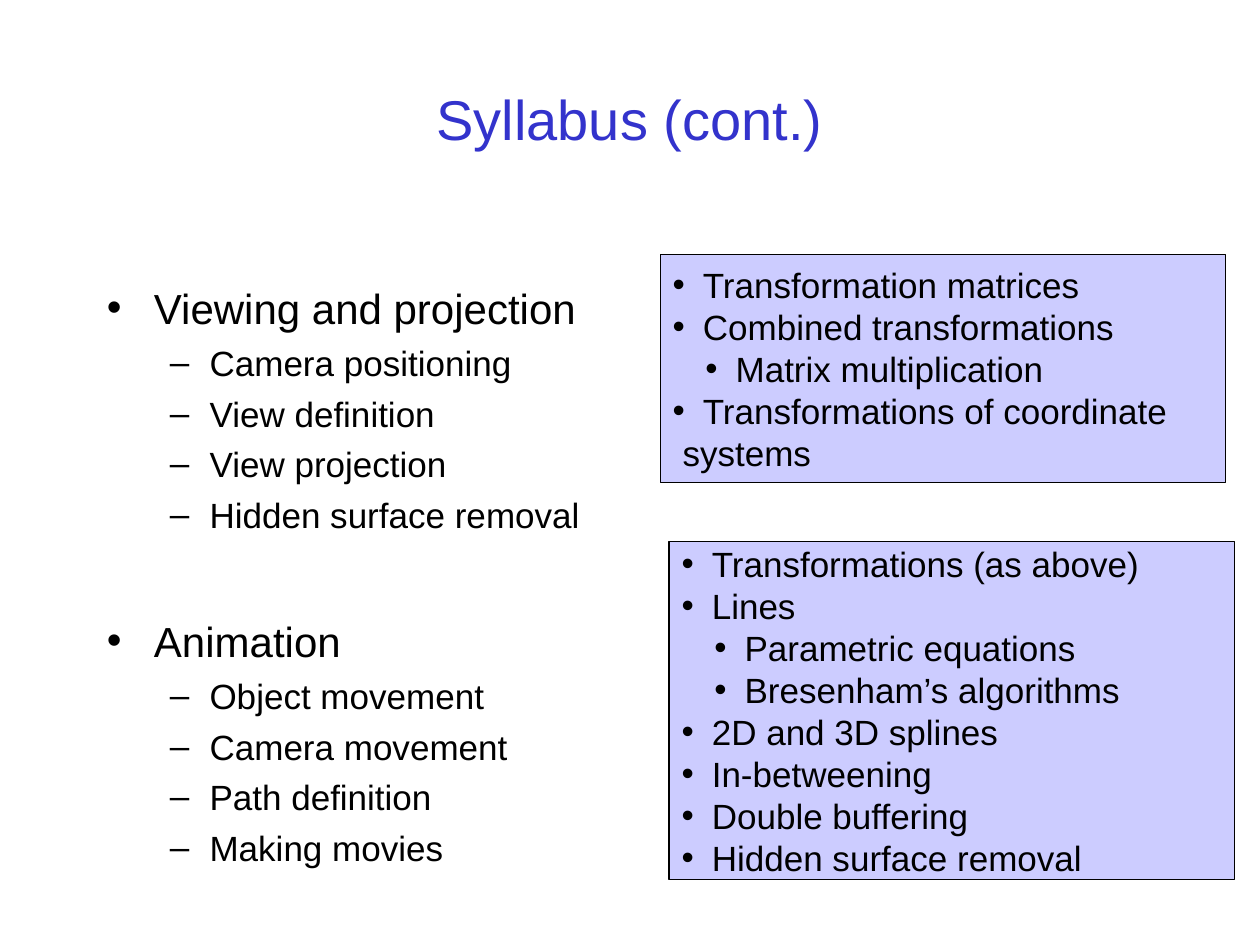
from lxml import etree
from pptx import Presentation
from pptx.dml.color import RGBColor
from pptx.enum.shapes import MSO_SHAPE
from pptx.enum.text import MSO_ANCHOR, MSO_AUTO_SIZE, PP_ALIGN
from pptx.oxml.ns import qn
from pptx.util import Cm, Pt

BLACK = RGBColor(0, 0, 0)
BLUE = RGBColor(0x33, 0x33, 0xCC)
LAVENDER = RGBColor(0xCC, 0xCC, 0xFF)
FONT = "Arial"

TITLE = "Syllabus (cont.)"
TOPICS = [
    ("Viewing and projection", [
        "Camera positioning",
        "View definition",
        "View projection",
        "Hidden surface removal",
    ]),
    ("Animation", [
        "Object movement",
        "Camera movement",
        "Path definition",
        "Making movies",
    ]),
]
MATHS_BOXES = [
    ((13.31, 5.13, 11.4, 4.6), [
        ("item", "Transformation matrices"),
        ("item", "Combined transformations"),
        ("subitem", "Matrix multiplication"),
        ("item", "Transformations of coordinate"),
        ("continued", "systems"),
    ]),
    ((13.49, 10.92, 11.4, 6.81), [
        ("item", "Transformations (as above)"),
        ("item", "Lines"),
        ("subitem", "Parametric equations"),
        ("subitem", "Bresenham’s algorithms"),
        ("item", "2D and 3D splines"),
        ("item", "In-betweening"),
        ("item", "Double buffering"),
        ("item", "Hidden surface removal"),
    ]),
]

# style: level, bullet, left margin (cm), first-line indent (cm), size (pt)
STYLES = {
    "topic": (0, "•", 0.95, -0.95, 24),
    "subtopic": (1, "–", 2.07, -0.8, 20),
    "item": (0, "•", 0.61, -0.61, 20),
    "subitem": (1, "•", 1.27, -0.61, 20),
    "continued": (0, None, 0.2, 0, 20),
}


def place(shape, left, top, width, height):
    shape.left, shape.top = Cm(left), Cm(top)
    shape.width, shape.height = Cm(width), Cm(height)


def set_font(paragraph, size, color):
    font = paragraph.font
    font.name, font.size, font.color.rgb = FONT, Pt(size), color


def write_lines(frame, lines):
    frame.word_wrap = True
    frame.auto_size = MSO_AUTO_SIZE.NONE
    for index, (style, text, space_before) in enumerate(lines):
        paragraph = frame.add_paragraph() if index else frame.paragraphs[0]
        level, bullet, margin, indent, size = STYLES[style]
        paragraph.text = text
        paragraph.level = level
        paragraph.alignment = PP_ALIGN.LEFT
        paragraph.line_spacing = Pt(size * 1.2)
        paragraph.space_before = Pt(space_before)
        paragraph.space_after = Pt(0)
        properties = paragraph._p.get_or_add_pPr()
        properties.set("marL", str(Cm(margin)))
        properties.set("indent", str(Cm(indent)))
        if bullet:
            etree.SubElement(properties, qn("a:buFont")).set("typeface", FONT)
            etree.SubElement(properties, qn("a:buChar")).set("char", bullet)
        else:
            etree.SubElement(properties, qn("a:buNone"))
        set_font(paragraph, size, BLACK)


presentation = Presentation()
presentation.slide_width, presentation.slide_height = Cm(25.4), Cm(19.05)
slide = presentation.slides.add_slide(presentation.slide_layouts[1])

title, body = slide.placeholders
place(title, 1.9, 0.79, 21.59, 3.18)
title.text_frame.text = TITLE
title.text_frame.vertical_anchor = MSO_ANCHOR.MIDDLE
title.text_frame.paragraphs[0].alignment = PP_ALIGN.CENTER
set_font(title.text_frame.paragraphs[0], 32, BLUE)

place(body, 1.9, 5.56, 21.59, 12.55)
topic_lines = []
for topic, subtopics in TOPICS:
    topic_lines.append(("topic", topic, 45.5 if topic_lines else 0))
    topic_lines += [("subtopic", subtopic, 5) for subtopic in subtopics]
write_lines(body.text_frame, topic_lines)

for bounds, items in MATHS_BOXES:
    box = slide.shapes.add_shape(MSO_SHAPE.RECTANGLE, *map(Cm, bounds))
    box.shadow.inherit = False
    box.fill.solid()
    box.fill.fore_color.rgb = LAVENDER
    box.line.color.rgb = BLACK
    box.line.width = Pt(0.75)
    box.text_frame.vertical_anchor = MSO_ANCHOR.MIDDLE
    write_lines(box.text_frame, [(style, text, 0) for style, text in items])

presentation.save("out.pptx")
